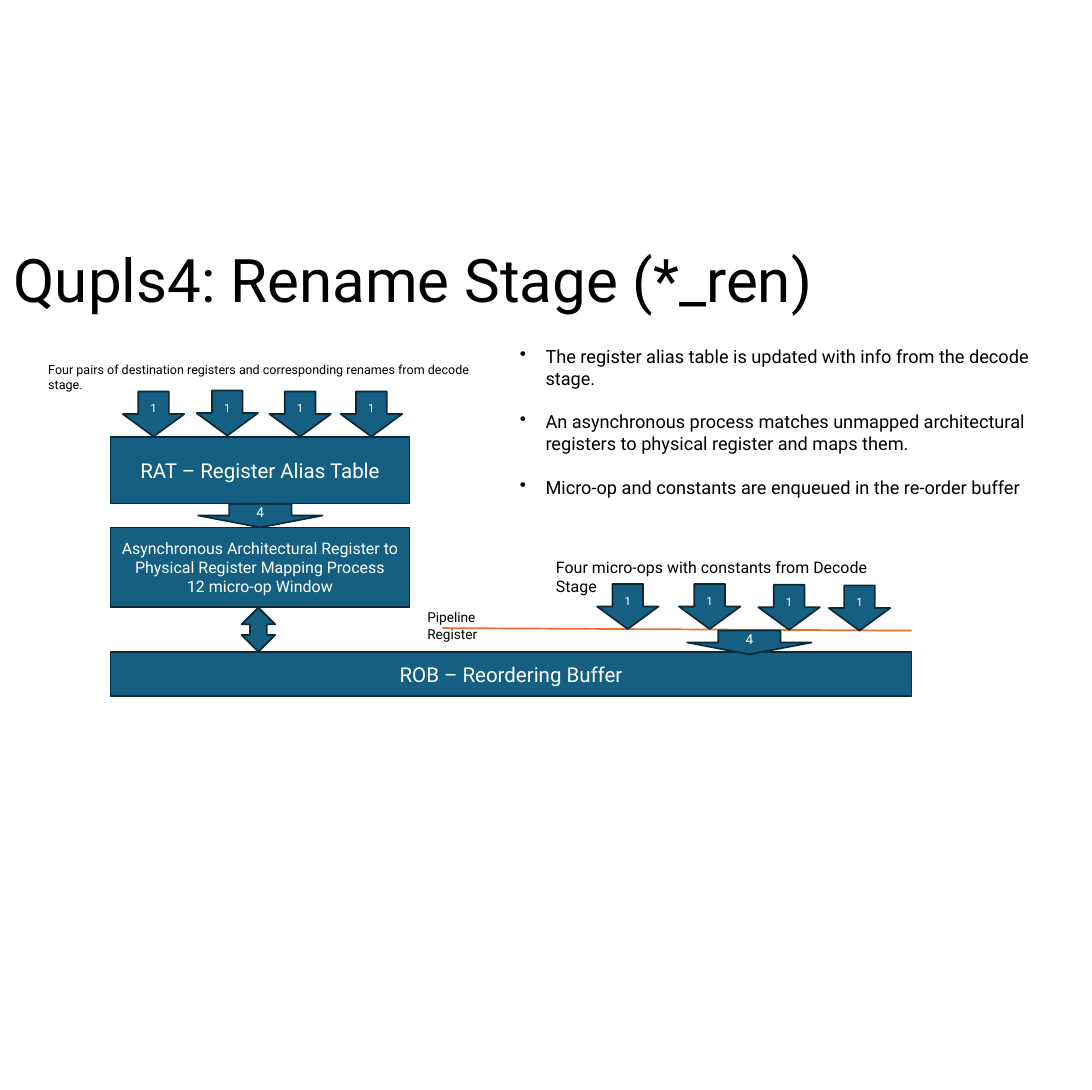
from lxml import etree
from pptx import Presentation
from pptx.dml.color import RGBColor
from pptx.enum import shapes, text
from pptx.oxml.ns import qn
from pptx.util import Pt

BLUE = RGBColor(0x15, 0x60, 0x82)
NAVY = RGBColor(0x09, 0x2A, 0x39)
ORANGE = RGBColor(0xE9, 0x71, 0x32)
WHITE = RGBColor(0xFF, 0xFF, 0xFF)
BLACK = RGBColor(0, 0, 0)
FONT = "Roboto"
SHAPE = shapes.MSO_SHAPE

prs = Presentation()
prs.slide_width, prs.slide_height = Pt(960), Pt(958.3)
s = prs.slides.add_slide(prs.slide_layouts[6])


def write(sp, lines, size, color, align=text.PP_ALIGN.LEFT,
          anchor=text.MSO_ANCHOR.TOP):
    """Fill a shape with one paragraph per line, all in one style."""
    tf = sp.text_frame
    tf.word_wrap = True
    tf.vertical_anchor = anchor
    tf.text = "\n".join(lines)
    for p in tf.paragraphs:
        p.alignment = align
        p.font.name, p.font.size, p.font.color.rgb = FONT, Pt(size), color
    return tf


def add_block(kind, left, top, width, height, lines=(), size=18):
    """Add a blue shape with centred white text."""
    sp = s.shapes.add_shape(kind, Pt(left), Pt(top), Pt(width), Pt(height))
    sp.shadow.inherit = False
    sp.fill.solid()
    sp.fill.fore_color.rgb = BLUE
    sp.line.color.rgb = NAVY
    sp.line.width = Pt(1.5)
    if lines:
        write(sp, lines, size, WHITE, text.PP_ALIGN.CENTER, text.MSO_ANCHOR.MIDDLE)


# Pipeline blocks
add_block(SHAPE.RECTANGLE, 97.2, 384.5, 262.8, 58.3, ["RAT – Register Alias Table"])
add_block(SHAPE.RECTANGLE, 97.2, 463.7, 262.8, 69.8,
          ["Asynchronous Architectural Register to Physical Register Mapping Process",
           "12 micro-op Window"], 14)
add_block(SHAPE.RECTANGLE, 97.2, 573.1, 704.2, 38.9, ["ROB – Reordering Buffer"])
add_block(SHAPE.UP_DOWN_ARROW, 212.4, 534.2, 29.5, 38.9)

# Pipeline register line
line = s.shapes.add_connector(shapes.MSO_CONNECTOR.STRAIGHT,
                              Pt(388.8), Pt(552.2), Pt(801.4), Pt(554.4))
line.line.color.rgb = ORANGE
line.line.width = Pt(1.5)
etree.SubElement(line._element.spPr, qn("a:effectLst"))

# Single-lane arrows into the RAT and the pipeline register, then the 4-wide ones
for left, top in [(108, 344.2), (172.8, 343.4), (236.9, 344.2), (299.5, 344.2),
                  (524.9, 513.4), (596.9, 513.4), (666.7, 514.1), (728.6, 514.8)]:
    add_block(SHAPE.DOWN_ARROW, left, top, 54, 39.6, ["1"], 10)
for left, top in [(174.2, 442.8), (604.1, 554.4)]:
    add_block(SHAPE.DOWN_ARROW, left, top, 109.4, 20.9, ["4"], 12)

# Captions
for caption, left, top, width, height, size in [
    ("Four pairs of destination registers and corresponding renames from decode stage.",
     35.3, 314.6, 411.8, 20.9, 11),
    ("Four micro-ops with constants from Decode Stage", 481.7, 486.7, 320.4, 24.5, 14),
    ("Pipeline Register", 368.6, 532.1, 101, 21.6, 12),
]:
    box = s.shapes.add_textbox(Pt(left), Pt(top), Pt(width), Pt(height))
    write(box, [caption], size, BLACK)

title = s.shapes.add_textbox(Pt(5), Pt(214.6), Pt(828), Pt(67.7))
tf = write(title, ["Qupls4: Rename Stage (*_ren)"], 52.8, BLACK,
           anchor=text.MSO_ANCHOR.MIDDLE)
tf.paragraphs[0].line_spacing = 0.9

# Bulleted notes
notes = s.shapes.add_textbox(Pt(450), Pt(300.2), Pt(474.5), Pt(143.3))
tf = write(notes, [
    "The register alias table is updated with info from the decode stage.",
    "An asynchronous process matches unmapped architectural registers to "
    "physical register and maps them.",
    "Micro-op and constants are enqueued in the re-order buffer",
], 16, BLACK)
indent = Pt(22.5)
for p in tf.paragraphs:
    p.space_after = Pt(19)
    pPr = p._p.get_or_add_pPr()
    pPr.set("marL", str(indent))
    pPr.set("indent", str(-indent))
    bullet = etree.Element(qn("a:buChar"), char="•")
    pPr.find(qn("a:defRPr")).addprevious(bullet)

prs.save("out.pptx")
